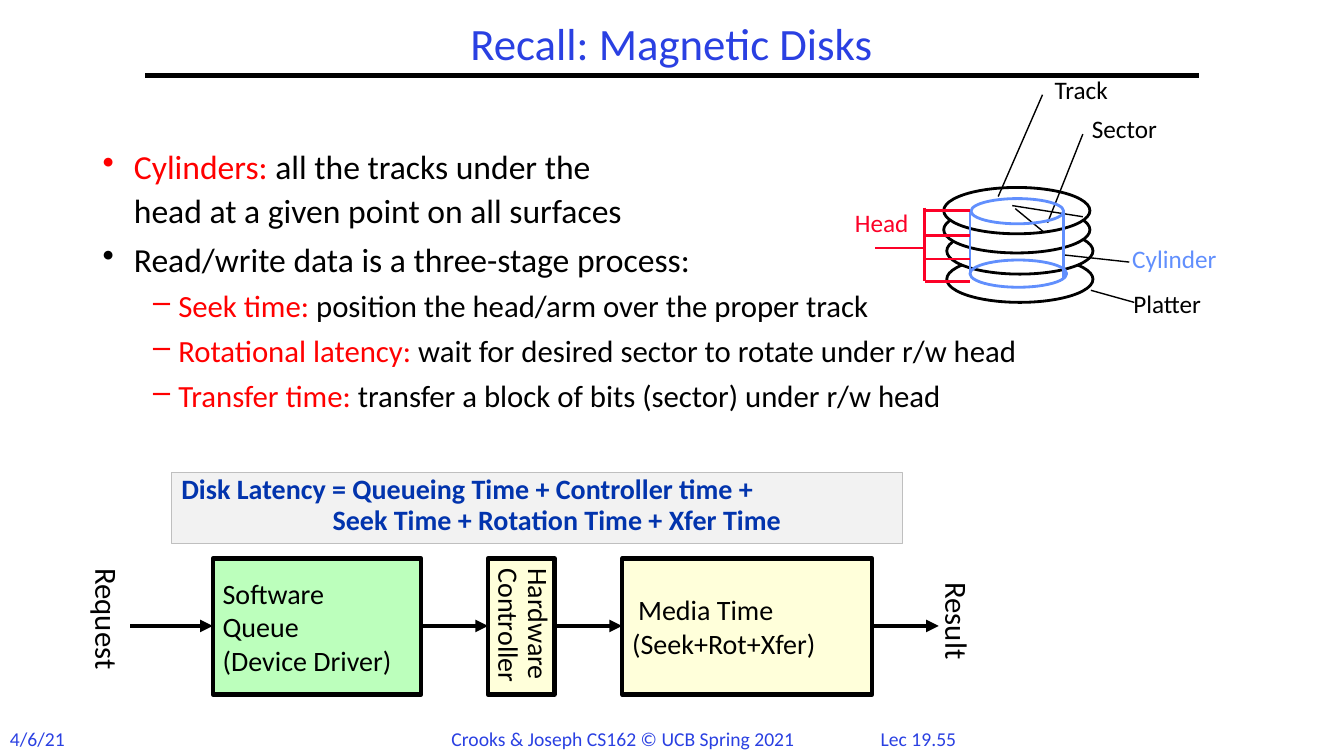
from lxml import etree
from pptx import Presentation
from pptx import util as u
from pptx.dml.color import RGBColor
from pptx.enum import shapes, text
from pptx.oxml import ns

PX = 9144
SLIDE = (1333, 750)
THEME = {
    "font": "Calibri",
    "title": 32, "body": 24, "detail": 22, "diagram": 20, "label": 18, "footer": 14,
    "blue": "2A40E2", "red": "FF0000", "black": "000000", "white": "FFFFFF",
    "cylinder": "618FFD", "head": "FC0128", "formula": "0234AD",
    "queue": "BCFFBC", "stage": "FFFFDA", "panel": "F2F2F2", "panel_edge": "BFBFBF",
}

TITLE = ("Recall: Magnetic Disks", (144, 17, 1044, 58))
TITLE_RULE = (144, 75, 1189, 75)
FOOTERS = [
    ("4/6/21", (0, 716, 80, 34), "LEFT"),
    ("Crooks & Joseph CS162 © UCB Spring 2021", (438, 716, 376, 34), "LEFT"),
    ("Lec 19.55", (850, 716, 122, 33), "CENTER"),
]
BODY_BOX = (92, 136, 1150, 328)
BODY = [
    (0, "Cylinders: ", "all the tracks under the\nhead at a given point on all surfaces"),
    (0, "", "Read/write data is a three-stage process:"),
    (1, "Seek time: ", "position the head/arm over the proper track"),
    (1, "Rotational latency: ", "wait for desired sector to rotate under r/w head"),
    (1, "Transfer time: ", "transfer a block of bits (sector) under r/w head"),
]
LEVELS = [("body", "•", 31, -31), ("detail", "–", 75, -25)]

PLATTERS = [(939, 254), (939, 226), (936, 205), (936, 186)]
PLATTER_SIZE = (145, 46)
SECTOR_LINES = [(1007, 207, 1035, 230), (1004, 204, 1074, 215)]
LEADERS = [(1039, 221, 1074, 133), (990, 195, 1034, 94),
           (1056, 253, 1120, 260), (1082, 288, 1125, 300)]
CYLINDER_ENDS = [(962, 258, 96, 27), (963, 197, 92, 25)]
CYLINDER_SIDES = [(962, 209, 962, 271), (1055, 209, 1055, 276)]
HEAD_ARM = [(917, 206, 917, 279), (918, 246, 868, 246)]
HEAD_LEVELS = [209, 234, 257, 279]
HEAD_REACH = (917, 962)
DISK_LABELS = [
    ("Sector", (1076, 114, 87, 31), "black"),
    ("Track", (1039, 75, 76, 31), "black"),
    ("Cylinder", (1116, 243, 107, 31), "cylinder"),
    ("Head", (841, 207, 74, 31), "head"),
    ("Platter", (1117, 288, 87, 31), "black"),
]

FORMULA_BOX = (170, 469, 725, 70)
FORMULA = [("Disk Latency = Queueing Time + Controller time +", 0),
           ("Seek Time + Rotation Time + Xfer Time", 150)]
STAGE_TOP, STAGE_HEIGHT, FLOW_Y = 554, 135, 621
FLOW_START, FLOW_END = 129, 931
STAGES = [
    (211, 207, "queue", [("Software", 0), ("Queue", 0), ("(Device Driver)", 0)], False),
    (484, 66, "stage", [("Hardware", 0), ("Controller", 0)], True),
    (617, 248, "stage", [("Media Time", 6), ("(Seek+Rot+Xfer)", 0)], False),
]
FLOW_LABELS = [("Request", (39, 598, 135, 47)), ("Result", (896, 598, 107, 47))]


def emu(values):
    return [value * PX for value in values]


def color(name):
    return RGBColor.from_string(THEME[name])


def assign(target, values):
    for name, value in values.items():
        setattr(target, name, value)


def line(parent, points, name="black", width=1, arrow=False):
    connector = parent.add_connector(shapes.MSO_CONNECTOR.STRAIGHT, *emu(points))
    connector.line.color.rgb = color(name)
    connector.line.width = u.Pt(width)
    properties = connector._element.spPr
    if arrow:
        etree.SubElement(properties.find(ns.qn("a:ln")), ns.qn("a:tailEnd"), type="triangle")
    etree.SubElement(properties, ns.qn("a:effectLst"))


def outline(parent, kind, box, fill, edge="black", width=2):
    shape = parent.add_shape(kind, *emu(box))
    shape.shadow.inherit = False
    if fill:
        shape.fill.solid()
        shape.fill.fore_color.rgb = color(fill)
    else:
        shape.fill.background()
    shape.line.color.rgb = color(edge)
    shape.line.width = u.Pt(width)
    return shape


def frame(shape, inset=(10, 5), anchor="TOP"):
    side, end = emu(inset)
    assign(shape.text_frame, {
        "word_wrap": True, "vertical_anchor": text.MSO_ANCHOR[anchor],
        "margin_left": side, "margin_right": side, "margin_top": end, "margin_bottom": end,
    })
    return shape


def write(shape, index, runs, size, align="LEFT", spacing=1.0, before=0,
          margin=0, indent=0, bullet=None, bold=False):
    content = shape.text_frame
    paragraph = content.add_paragraph() if index else content.paragraphs[0]
    properties = paragraph._p.get_or_add_pPr()
    properties.set("marL", str(margin * PX))
    properties.set("indent", str(indent * PX))
    if bullet:
        etree.SubElement(properties, ns.qn("a:buChar"), char=bullet)
    assign(paragraph, {"alignment": text.PP_ALIGN[align], "line_spacing": spacing,
                       "space_before": u.Pt(before if index else 0)})
    for words, name in runs:
        for row, part in enumerate(words.split("\n")):
            if row:
                paragraph.add_line_break()
            run = paragraph.add_run()
            run.text = part
            assign(run.font, {"name": THEME["font"], "size": u.Pt(THEME[size]), "bold": bold})
            run.font.color.rgb = color(name)


def label(parent, words, box, name, size, inset=(10, 5), anchor="TOP", **layout):
    shape = frame(parent.add_textbox(*emu(box)), inset, anchor)
    write(shape, 0, [(words, name)], size, **layout)
    return shape


def draw_text(parent):
    line(parent, TITLE_RULE, width=3)
    for words, box, align in FOOTERS:
        label(parent, words, box, "blue", "footer", align=align)
    label(parent, *TITLE, "blue", "title", anchor="MIDDLE", align="CENTER", spacing=0.9)
    body = frame(parent.add_textbox(*emu(BODY_BOX)))
    for index, (level, term, words) in enumerate(BODY):
        size, bullet, margin, indent = LEVELS[level]
        runs = [run for run in ((term, "red"), (words, "black")) if run[0]]
        write(body, index, runs, size, spacing=1.1, before=3,
              margin=margin, indent=indent, bullet=bullet)


def draw_disk(parent):
    oval = shapes.MSO_SHAPE.OVAL
    for corner in PLATTERS:
        outline(parent, oval, corner + PLATTER_SIZE, "white")
    for points in SECTOR_LINES + LEADERS:
        line(parent, points)
    for box in CYLINDER_ENDS:
        outline(parent, oval, box, None, "cylinder")
    for points in CYLINDER_SIDES:
        line(parent, points, "cylinder", 2)
    left, right = HEAD_REACH
    for points in HEAD_ARM + [(left, y, right, y) for y in HEAD_LEVELS]:
        line(parent, points, "head", 2)
    for words, box, name in DISK_LABELS:
        label(parent, words, box, name, "label", inset=(7, 3), spacing=0.85)


def draw_flow(parent):
    stops = [FLOW_START]
    for left, width, fill, rows, vertical in STAGES:
        box = (left, STAGE_TOP, width, STAGE_HEIGHT)
        shape = frame(outline(parent, shapes.MSO_SHAPE.RECTANGLE, box, fill, width=3),
                      anchor="MIDDLE")
        if vertical:
            shape.text_frame._txBody.bodyPr.set("vert", "eaVert")
        for index, (words, shift) in enumerate(rows):
            write(shape, index, [(words, "black")], "diagram", margin=shift,
                  spacing=0.8 if vertical else 1.0, before=2 if vertical else 0)
        stops += [left, left + width]
    stops.append(FLOW_END)
    for start, end in zip(stops[::2], stops[1::2]):
        line(parent, (start, FLOW_Y, end, FLOW_Y), width=3, arrow=True)
    for words, box in FLOW_LABELS:
        label(parent, words, box, "black", "detail").rotation = 90


def draw_formula(parent):
    panel = frame(outline(parent, shapes.MSO_SHAPE.RECTANGLE, FORMULA_BOX,
                          "panel", "panel_edge", 0.75))
    for index, (words, margin) in enumerate(FORMULA):
        write(panel, index, [(words, "formula")], "diagram", spacing=0.8,
              before=3, margin=margin, bold=True)


def main():
    presentation = Presentation()
    presentation.slide_width, presentation.slide_height = emu(SLIDE)
    slide = presentation.slides.add_slide(presentation.slide_layouts[6])
    draw_text(slide.shapes)
    draw_disk(slide.shapes.add_group_shape().shapes)
    draw_flow(slide.shapes.add_group_shape().shapes)
    draw_formula(slide.shapes)
    presentation.save("out.pptx")


if __name__ == "__main__":
    main()
